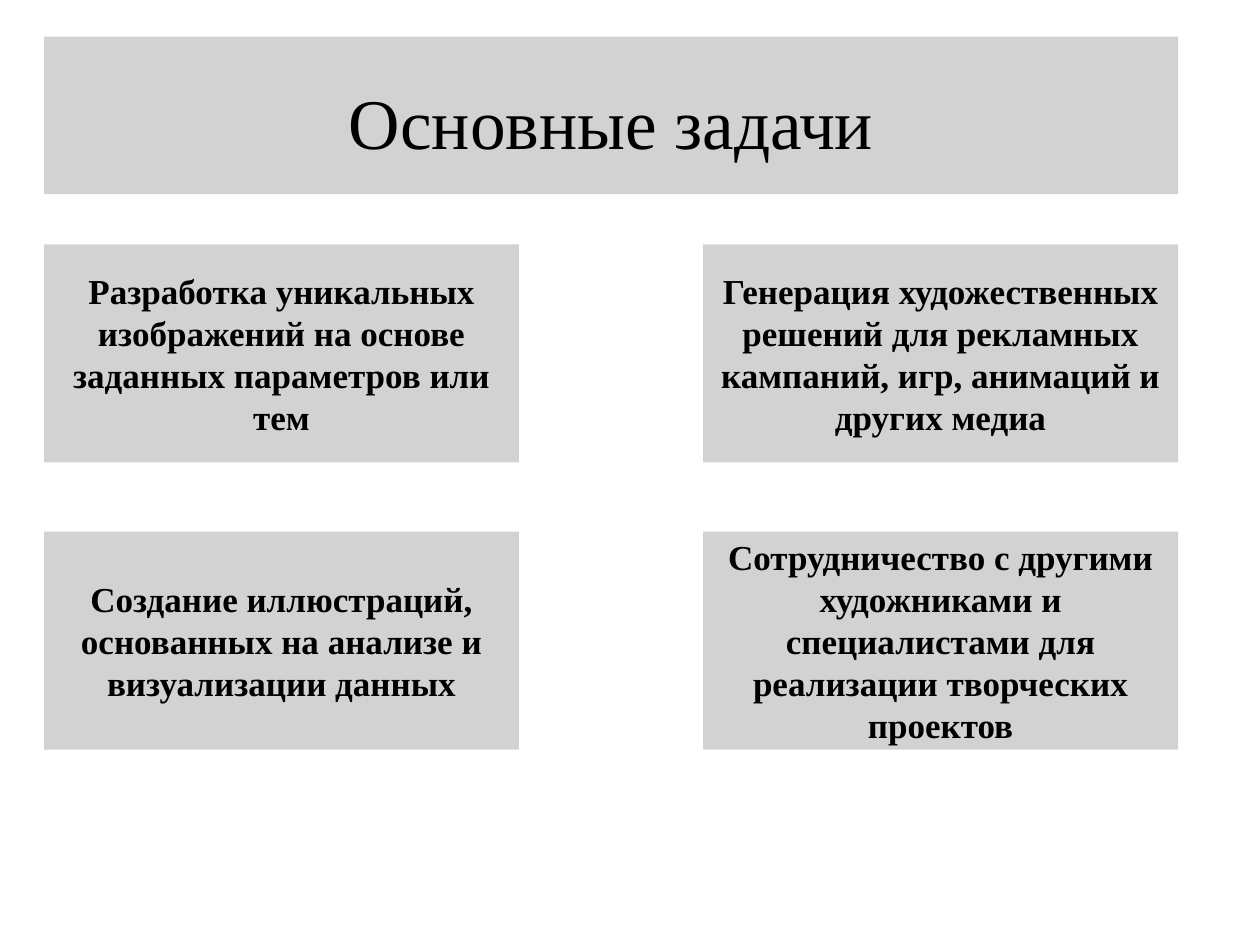
from lxml.etree import SubElement
from pptx import Presentation
from pptx.dml.color import RGBColor
from pptx.enum.shapes import MSO_SHAPE
from pptx.enum.text import MSO_ANCHOR, MSO_AUTO_SIZE, PP_ALIGN
from pptx.oxml.ns import qn
from pptx.util import Pt

FONT = "Times New Roman"
PANEL, INK = "A6A6A6", "000000"
LEFT, WIDTH = 25.2, 648
CARD_WIDTH, CARD_HEIGHT = 271.4, 124.6
FIRST_ROW, ROW_STEP = 139.7, 164.1

TASKS = [
    "Разработка уникальных изображений на основе заданных параметров или тем",
    "Генерация художественных решений для рекламных кампаний, игр, анимаций и других медиа",
    "Создание иллюстраций, основанных на анализе и визуализации данных",
    "Сотрудничество с другими художниками и специалистами для реализации творческих проектов",
]


def color(value):
    return RGBColor.from_string(value)


def fill_panel(box):
    """Give the box a half-transparent grey fill."""
    box.fill.solid()
    box.fill.fore_color.rgb = color(PANEL)
    tint = box.fill._xPr.find(qn("a:solidFill"))[0]
    SubElement(tint, qn("a:alpha"), val="50000")


def write_centred(box, text, size, bold):
    frame = box.text_frame
    frame.text = text
    frame.word_wrap = True
    frame.auto_size = MSO_AUTO_SIZE.NONE
    frame.vertical_anchor = MSO_ANCHOR.MIDDLE
    para = frame.paragraphs[0]
    para.alignment = PP_ALIGN.CENTER
    para.font.name = FONT
    para.font.size = Pt(size)
    para.font.bold = bold
    para.font.color.rgb = color(INK)


def add_heading(page, text):
    box = page.shapes.title
    box.left, box.top = Pt(LEFT), Pt(20.9)
    box.width, box.height = Pt(WIDTH), Pt(90)
    fill_panel(box)
    write_centred(box, text, 40.7, False)
    box.text_frame.margin_top = Pt(10)


def add_card(page, left, top, text):
    box = page.shapes.add_shape(
        MSO_SHAPE.RECTANGLE, Pt(left), Pt(top), Pt(CARD_WIDTH), Pt(CARD_HEIGHT))
    box.shadow.inherit = False
    box.line.fill.background()
    fill_panel(box)
    write_centred(box, text, 20, True)


def main():
    deck = Presentation()
    deck.slide_width, deck.slide_height = Pt(720), Pt(540)
    page = deck.slides.add_slide(deck.slide_layouts[5])
    add_heading(page, "Основные задачи")
    for index, task in enumerate(TASKS):
        row, column = divmod(index, 2)
        left = LEFT + column * (WIDTH - CARD_WIDTH)
        add_card(page, left, FIRST_ROW + row * ROW_STEP, task)
    deck.save("out.pptx")


if __name__ == "__main__":
    main()
